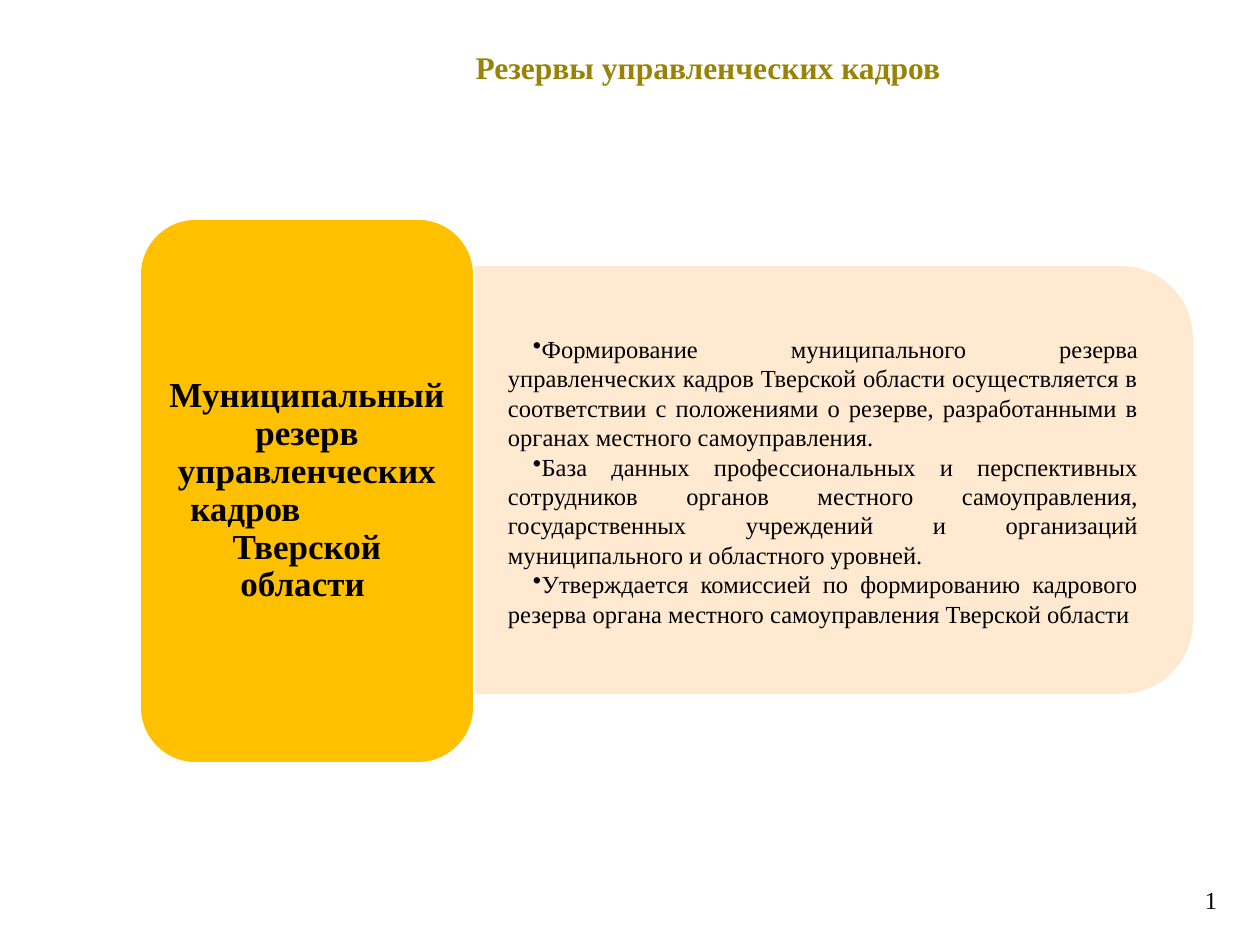
from lxml import etree
from pptx import Presentation
from pptx.dml.color import RGBColor
from pptx.enum.shapes import MSO_SHAPE
from pptx.enum.text import MSO_ANCHOR, PP_ALIGN
from pptx.oxml.ns import qn
from pptx.util import Emu, Pt

PIXELS_PER_INCH = 126
FONT = "Times New Roman"
OLIVE = RGBColor(0x99, 0x83, 0x07)
AMBER = RGBColor(0xFF, 0xC0, 0x00)
CREAM = RGBColor(0xFF, 0xE8, 0xCC)
BLACK = RGBColor(0x00, 0x00, 0x00)
WHITE = RGBColor(0xFF, 0xFF, 0xFF)
LEFT, CENTER, JUSTIFY = PP_ALIGN.LEFT, PP_ALIGN.CENTER, PP_ALIGN.JUSTIFY
TOP, MIDDLE = MSO_ANCHOR.TOP, MSO_ANCHOR.MIDDLE
ROUNDED, ROUNDED_TOP = MSO_SHAPE.ROUNDED_RECTANGLE, MSO_SHAPE.ROUND_2_SAME_RECTANGLE


def px(pixels):
    return Emu(round(pixels * 914400 / PIXELS_PER_INCH))


class Builder:
    def __init__(self, deck):
        self.page = deck.slides.add_slide(deck.slide_layouts[5])

    def frame(self, box, anchor, insets):
        frame = box.text_frame
        frame.word_wrap = True
        frame.vertical_anchor = anchor
        (frame.margin_left, frame.margin_top,
         frame.margin_right, frame.margin_bottom) = map(px, insets)
        return frame

    def paragraph(self, frame, lines, size, align, color=BLACK, bold=False,
                  spacing=None, margin=0, indent=0, bullet=None):
        para = frame.paragraphs[0]
        if para.runs:
            para = frame.add_paragraph()
        para.alignment = align
        para.space_before = para.space_after = Pt(0)
        if spacing:
            para.line_spacing = spacing
        props = para._p.get_or_add_pPr()
        props.set("marL", str(px(margin)))
        props.set("indent", str(px(indent)))
        if bullet:
            etree.SubElement(props, qn("a:buChar")).set("char", bullet)
        for number, line in enumerate(lines):
            if number:
                para.add_line_break()
            span = para.add_run()
            span.text = line
            span.font.name = FONT
            span.font.size = Pt(size)
            span.font.bold = bold
            span.font.color.rgb = color

    def title(self, x, y, width, height, text):
        box = self.page.shapes.title
        box.left, box.top, box.width, box.height = map(px, (x, y, width, height))
        frame = self.frame(box, TOP, (13, 18, 13, 6))
        self.paragraph(frame, [text], 18, CENTER, OLIVE, bold=True)

    def text_box(self, x, y, width, height, anchor=TOP, insets=(13, 6, 13, 6)):
        box = self.page.shapes.add_textbox(*map(px, (x, y, width, height)))
        return self.frame(box, anchor, insets)

    def shape(self, kind, x, y, width, height, fill, line, rotation=0, opacity=100):
        shape = self.page.shapes.add_shape(kind, *map(px, (x, y, width, height)))
        shape.shadow.inherit = False
        shape.rotation = rotation
        shape.fill.solid()
        shape.fill.fore_color.rgb = fill
        shape.line.color.rgb = line
        shape.line.width = Pt(1)
        if opacity < 100:
            for color in shape._element.spPr.iter(qn("a:srgbClr")):
                etree.SubElement(color, qn("a:alpha")).set("val", str(opacity * 1000))
        return shape


deck = Presentation()
deck.slide_width, deck.slide_height = px(1260), px(945)
builder = Builder(deck)

# Heading and page number
builder.title(224, 30, 968, 107, "Резервы управленческих кадров")
number_frame = builder.text_box(1192, 879, 52, 43)
builder.paragraph(number_frame, ["1"], 14, LEFT)

# Description panel, rounded on its right side
builder.shape(ROUNDED_TOP, 620, 121, 426, 718, CREAM, CREAM, rotation=90, opacity=90)
panel_frame = builder.text_box(474, 289, 698, 384, MIDDLE, (34, 18, 34, 18))
DESCRIPTION = [
    "Формирование муниципального резерва управленческих кадров Тверской области "
    "осуществляется в соответствии с положениями о резерве, разработанными "
    "в органах местного самоуправления.",
    "База данных профессиональных и перспективных сотрудников органов местного "
    "самоуправления, государственных учреждений и организаций муниципального "
    "и областного уровней.",
    "Утверждается комиссией по формированию кадрового резерва органа местного "
    "самоуправления Тверской области",
]
for item in DESCRIPTION:
    builder.paragraph(panel_frame, [item], 14, JUSTIFY, indent=25, bullet="•")

# Name card
card = builder.shape(ROUNDED, 140, 219, 334, 544, AMBER, WHITE)
card_frame = builder.frame(card, MIDDLE, (10, 5, 10, 5))
CARD_LINES = [
    (["Муниципальный резерв управленческих"], CENTER, 0),
    (["кадров"], LEFT, 24),
    (["Тверской", "области "], CENTER, 0),
]
for lines, align, margin in CARD_LINES:
    builder.paragraph(card_frame, lines, 20, align, bold=True, spacing=0.9, margin=margin)

deck.save("out.pptx")
